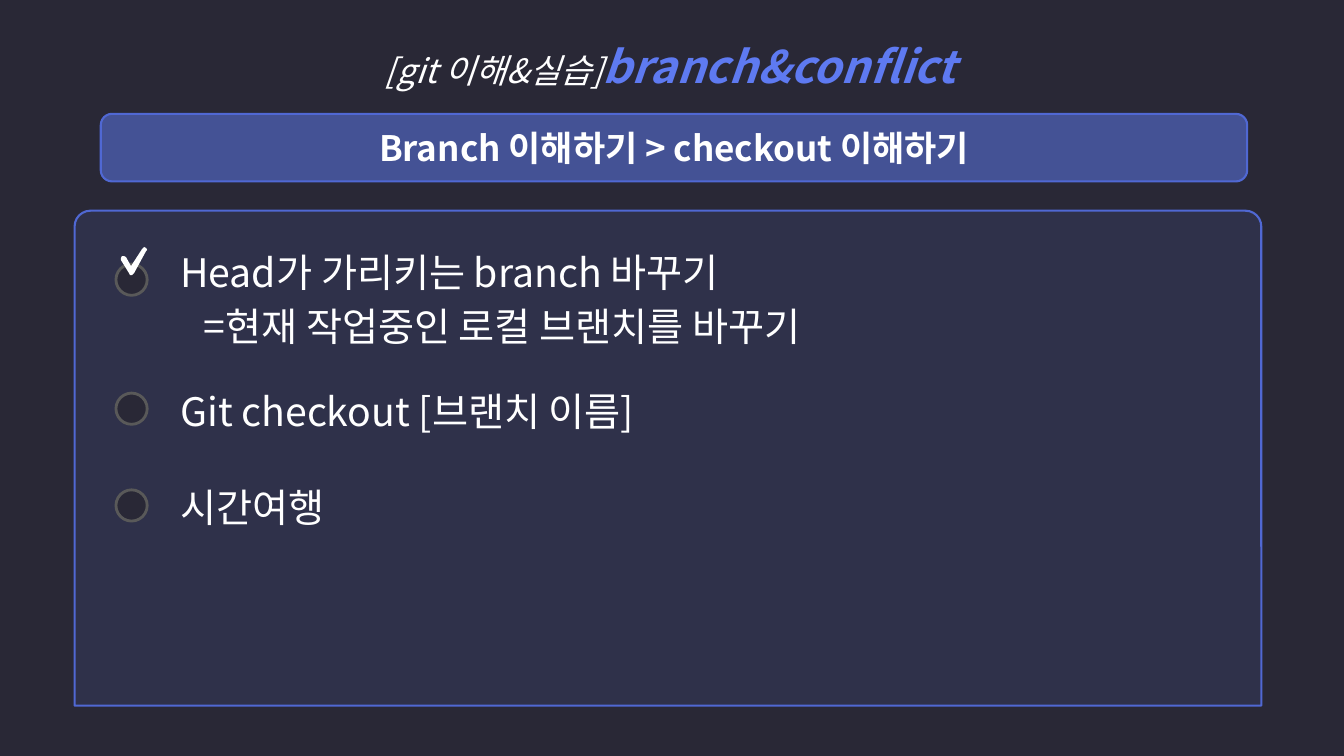
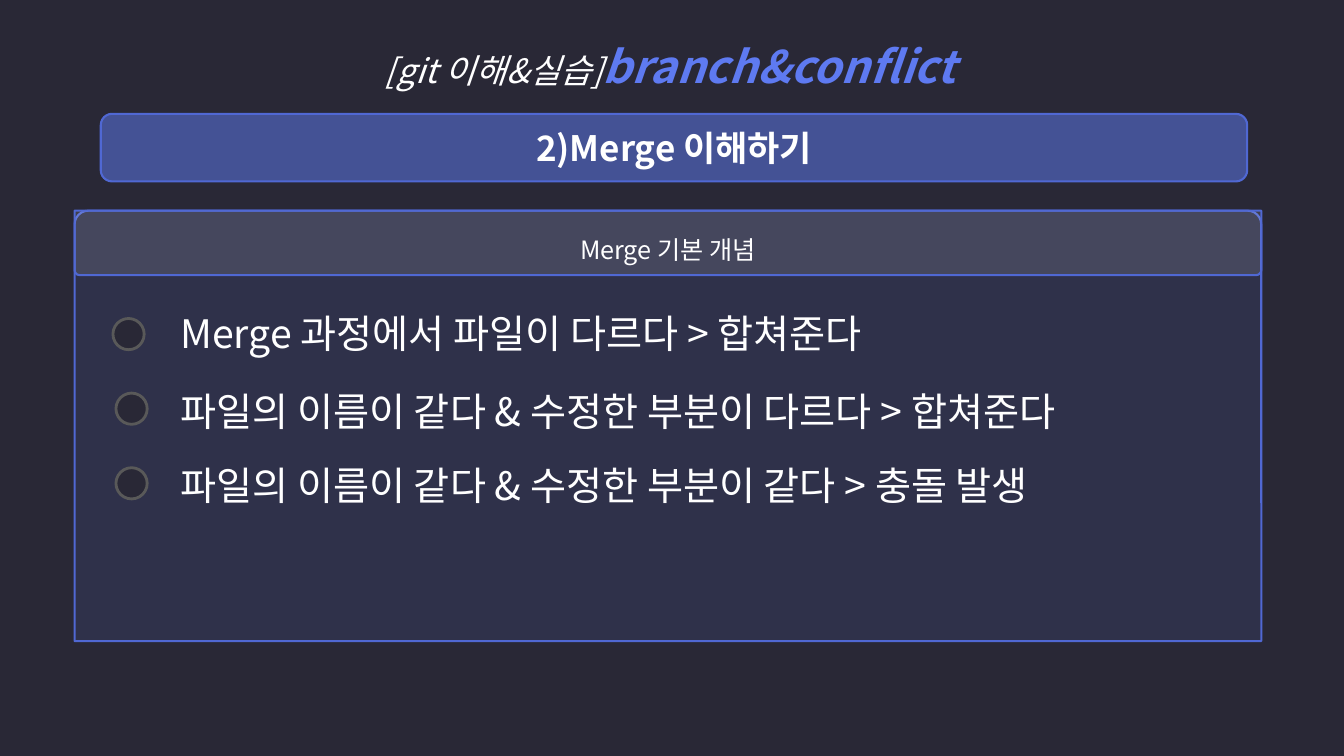
from dataclasses import dataclass

from lxml import etree
from pptx import Presentation
from pptx.dml.color import RGBColor
from pptx.enum import shapes, text
from pptx.oxml import ns
from pptx.util import Inches, Pt

KIND = shapes.MSO_SHAPE
CENTER = text.PP_ALIGN.CENTER


@dataclass(frozen=True)
class Theme:
    font: str = "Noto Sans CJK KR"
    dark: str = "292836"
    white: str = "FFFFFF"
    blue: str = "607CF4"
    edge: str = "5068D3"
    accent: str = "5E7AF1"
    ring: str = "595959"
    series: int = 24
    topic: int = 32
    band: int = 25
    head: int = 18
    body: int = 28


TICK = [(1.43, 2.45), (1.45, 2.46), (1.46, 2.48), (1.45, 2.49), (1.33, 2.71),
        (1.31, 2.73), (1.29, 2.73), (1.28, 2.71), (1.2, 2.58), (1.2, 2.56),
        (1.21, 2.54), (1.23, 2.54), (1.25, 2.55), (1.3, 2.64), (1.41, 2.47)]


class Deck:
    def __init__(self, theme):
        self.theme = theme
        self.prs = Presentation()
        self.prs.slide_width = Inches(13.33)
        self.prs.slide_height = Inches(7.5)
        fill = self.prs.slide_master.background.fill
        fill.solid()
        fill.fore_color.rgb = RGBColor.from_string(theme.dark)

    def page(self, band):
        """Start a slide with the shared title and a band naming its subject."""
        look = self.theme
        self.slide = self.prs.slides.add_slide(self.prs.slide_layouts[5])
        title = self.slide.shapes.title
        title.left, title.top = Inches(1.85), Inches(0.07)
        title.width, title.height = Inches(9.6), Inches(0.91)
        frame = title.text_frame
        frame.word_wrap = True
        frame.auto_size = text.MSO_AUTO_SIZE.SHAPE_TO_FIT_TEXT
        frame.vertical_anchor = text.MSO_ANCHOR.TOP
        para = frame.paragraphs[0]
        para.alignment, para.line_spacing = CENTER, 1.5
        self.run(para, "[git 이해&실습]", look.series, italic=True)
        self.run(para, "branch&conflict", look.topic, look.accent,
                 bold=True, italic=True)
        bar = self.shape(KIND.ROUNDED_RECTANGLE, 1, 1.13, 11.37, 0.67,
                         look.blue, look.edge, alpha=50)
        self.label(bar, band, look.band, bold=True)

    def run(self, para, words, size, color=None, bold=False, italic=False):
        run = para.add_run()
        run.text = words
        font = run.font
        font.name, font.size = self.theme.font, Pt(size)
        font.bold, font.italic = bold, italic
        font.color.rgb = RGBColor.from_string(color or self.theme.white)
        east = etree.SubElement(font._element, ns.qn("a:ea"))
        east.set("typeface", self.theme.font)

    def paint(self, shape, fill, line=None, width=1.5, alpha=100):
        shape.shadow.inherit = False
        shape.fill.solid()
        shape.fill.fore_color.rgb = RGBColor.from_string(fill)
        if alpha < 100:
            color = shape.element.xpath("./p:spPr/a:solidFill/a:srgbClr")[0]
            etree.SubElement(color, ns.qn("a:alpha")).set("val", str(alpha * 1000))
        if line:
            shape.line.color.rgb = RGBColor.from_string(line)
            shape.line.width = Pt(width)
        else:
            shape.line.fill.background()

    def shape(self, kind, left, top, width, height, fill, line,
              weight=1.5, alpha=100, bends=()):
        shape = self.slide.shapes.add_shape(
            kind, Inches(left), Inches(top), Inches(width), Inches(height))
        for i, bend in enumerate(bends):
            shape.adjustments[i] = bend
        self.paint(shape, fill, line, weight, alpha)
        return shape

    def label(self, shape, words, size, bold=False, spacing=None):
        frame = shape.text_frame
        frame.vertical_anchor = text.MSO_ANCHOR.MIDDLE
        para = frame.paragraphs[0]
        para.alignment, para.line_spacing = CENTER, spacing
        self.run(para, words, size, bold=bold)

    def panel(self, height, head=None):
        look = self.theme
        kind = KIND.ROUND_2_SAME_RECTANGLE
        self.shape(kind, 0.74, 2.09, 11.77, height, look.blue, look.edge,
                   alpha=11, bends=(0.032, 0))
        if head:
            bar = self.shape(kind, 0.74, 2.09, 11.77, 0.64, look.white,
                             look.edge, alpha=11, bends=(0, 0.079))
            self.label(bar, head, look.head, spacing=1.5)

    def line(self, words, top, left=1.69):
        box = self.slide.shapes.add_textbox(
            Inches(left), Inches(top), Inches(10.31), Inches(0.57))
        frame = box.text_frame
        frame.word_wrap = True
        frame.auto_size = text.MSO_AUTO_SIZE.SHAPE_TO_FIT_TEXT
        self.run(frame.paragraphs[0], words, self.theme.body)

    def item(self, words, top, drop=0.11, left=1.15):
        """Add a line with a ring, set drop inches below the line's top."""
        self.shape(KIND.OVAL, left, top + drop, 0.31, 0.31,
                   self.theme.dark, self.theme.ring, weight=2)
        self.line(words, top)

    def tick(self):
        spots = [(Inches(x), Inches(y)) for x, y in TICK]
        pen = self.slide.shapes.build_freeform(*spots[0])
        pen.add_line_segments(spots[1:], close=True)
        self.paint(pen.convert_to_shape(), self.theme.white)


def main():
    deck = Deck(Theme())

    deck.page("Branch 이해하기 > checkout 이해하기")
    deck.panel(4.91)
    deck.item("Head가 가리키는 branch 바꾸기", 2.41, drop=0.21)
    deck.tick()
    deck.line("=현재 작업중인 로컬 브랜치를 바꾸기", 2.95, left=1.92)
    deck.item("Git checkout [브랜치 이름]", 3.79)
    deck.item("시간여행", 4.75)

    deck.page("2)Merge 이해하기")
    deck.panel(4.27, "Merge 기본 개념")
    deck.item("Merge 과정에서 파일이 다르다 > 합쳐준다", 3.02, drop=0.14, left=1.12)
    deck.item("파일의 이름이 같다 & 수정한 부분이 다르다 > 합쳐준다", 3.79)
    deck.item("파일의 이름이 같다 & 수정한 부분이 같다 > 충돌 발생", 4.53)

    deck.prs.save("out.pptx")


if __name__ == "__main__":
    main()
